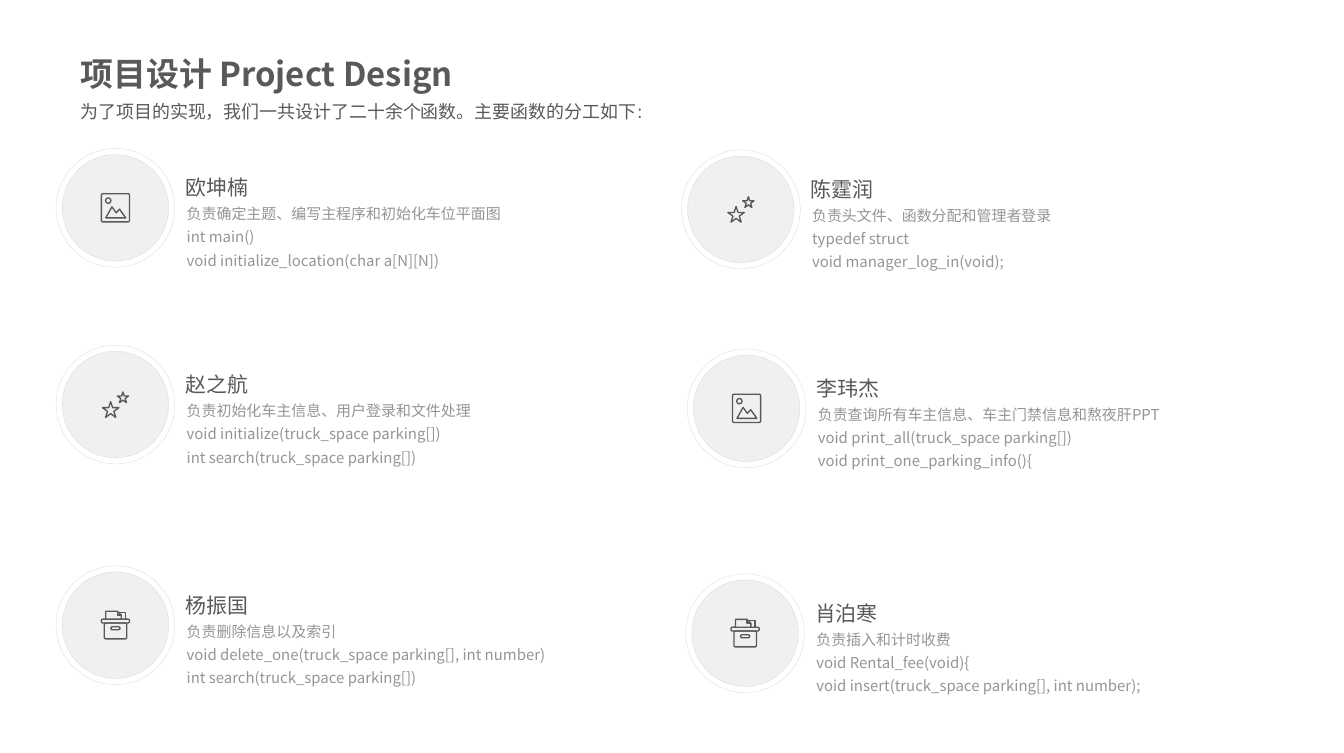
from math import cos, pi, sin

from lxml.etree import SubElement
from pptx import Presentation
from pptx.dml.color import RGBColor
from pptx.enum.shapes import MSO_SHAPE
from pptx.enum.text import MSO_ANCHOR, MSO_AUTO_SIZE, PP_ALIGN
from pptx.oxml.ns import qn
from pptx.util import Cm, Pt

FONT = "Noto Sans CJK SC"
COLORS = {"dark": "595959", "grey": "959595", "ring": "D0CECE"}

RING, DISC, ICON_OFFSET, TEXT_OFFSET = 5.61, 5.03, 2.11, 5.92

# Five-pointed stars: centre and radius in cm, tips alternating with notches.
STARS = [
    [(x + radius * (0.382 if step % 2 else 1) * sin(step * pi / 5),
      y - radius * (0.382 if step % 2 else 1) * cos(step * pi / 5)) for step in range(10)]
    for x, y, radius in [(0.47, 0.97), (1.05, 0.38)] and [(0.47, 0.97, 0.41), (1.05, 0.38, 0.28)]
]

# Icon parts in cm from the icon's corner: preset shapes with their boxes,
# then the strokes of one outline and whether they are closed.
ICONS = {
    "photo": (
        [(MSO_SHAPE.ROUNDED_RECTANGLE, 0.03, 0.03, 1.33, 1.33),
         (MSO_SHAPE.OVAL, 0.23, 0.23, 0.25, 0.25)],
        [[(0.24, 1.17), (0.53, 0.65), (0.73, 0.93), (0.89, 0.76), (1.18, 1.17)]],
        True,
    ),
    "stars": ([], STARS, True),
    "archive": (
        [(MSO_SHAPE.ROUNDED_RECTANGLE, 0.03, 0.41, 1.33, 0.18),
         (MSO_SHAPE.ROUNDED_RECTANGLE, 0.17, 0.59, 1.06, 0.75),
         (MSO_SHAPE.ROUNDED_RECTANGLE, 0.48, 0.77, 0.43, 0.14)],
        [[(0.24, 0.41), (0.24, 0.04), (0.79, 0.04), (0.97, 0.22), (0.97, 0.41)],
         [(0.79, 0.04), (0.79, 0.22), (0.97, 0.22)],
         [(0.87, 0.09), (1.16, 0.09), (1.16, 0.41)]],
        False,
    ),
}

MEMBERS = [
    (2.65, 7.01, "photo", "欧坤楠",
     ["负责确定主题、编写主程序和初始化车位平面图", "int main()",
      "void initialize_location(char a[N][N])"]),
    (32.2, 7.08, "stars", "陈霆润",
     ["负责头文件、函数分配和管理者登录", "typedef struct",
      "void manager_log_in(void);"]),
    (2.65, 16.3, "stars", "赵之航",
     ["负责初始化车主信息、用户登录和文件处理", "void initialize(truck_space parking[])",
      "int search(truck_space parking[])"]),
    (32.47, 16.48, "photo", "李玮杰",
     ["负责查询所有车主信息、车主门禁信息和熬夜肝PPT",
      "void print_all(truck_space parking[])", "void print_one_parking_info(){"]),
    (2.65, 26.72, "archive", "杨振国",
     ["负责删除信息以及索引", "void delete_one(truck_space parking[], int number)",
      "int search(truck_space parking[])"]),
    (32.4, 27.1, "archive", "肖泊寒",
     ["负责插入和计时收费", "void Rental_fee(void){",
      "void insert(truck_space parking[], int number);"]),
]


def write(para, text, size=20, color="dark", bold=False, spacing=1.3):
    para.alignment = PP_ALIGN.LEFT
    para.line_spacing = spacing
    para.space_before = Pt(0)
    span = para.add_run()
    span.text = text
    span.font.size = Pt(size)
    span.font.bold = bold
    span.font.name = FONT
    span.font.color.rgb = RGBColor.from_string(COLORS[color])
    SubElement(span.font._element, qn("a:ea"), typeface=FONT)


def outline(shape, color="dark", width=1.8):
    shape.shadow.inherit = False
    shape.fill.background()
    shape.line.color.rgb = RGBColor.from_string(COLORS[color])
    shape.line.width = Pt(width)


deck = Presentation()
deck.slide_width, deck.slide_height = Cm(63.5), Cm(35.56)
page = deck.slides.add_slide(deck.slide_layouts[1])

title, intro = page.placeholders
for box, left, top, width, height in [(title, 3.55, 1.47, 29.36, 2.74),
                                      (intro, 3.55, 4.11, 27.43, 1.63)]:
    box.left, box.top, box.width, box.height = Cm(left), Cm(top), Cm(width), Cm(height)
    box.text_frame.word_wrap = True
    box.text_frame.vertical_anchor = MSO_ANCHOR.TOP
    box.text_frame.auto_size = MSO_AUTO_SIZE.SHAPE_TO_FIT_TEXT

write(title.text_frame.paragraphs[0], "项目设计 Project Design", size=44, bold=True, spacing=1.5)
para = intro.text_frame.paragraphs[0]
write(para, "为了项目的实现，我们一共设计了二十余个函数。主要函数的分工如下", size=24, spacing=1.5)
write(para, "：", spacing=1.5)
properties = para._p.get_or_add_pPr()
properties.set("marL", "0")
properties.set("indent", "0")
SubElement(properties, qn("a:buNone"))

for left, top, icon, name, duties in MEMBERS:
    inset = (RING - DISC) / 2
    disc = page.shapes.add_shape(MSO_SHAPE.OVAL, Cm(left + inset), Cm(top + inset),
                                 Cm(DISC), Cm(DISC))
    outline(disc, "ring", 0.25)
    disc.fill.solid()
    disc.fill.fore_color.rgb = RGBColor.from_string(COLORS["ring"])
    fill_color = disc._element.spPr.find(qn("a:solidFill"))[0]
    SubElement(fill_color, qn("a:alpha"), val="30000")
    ring = page.shapes.add_shape(MSO_SHAPE.OVAL, Cm(left), Cm(top), Cm(RING), Cm(RING))
    outline(ring, "ring", 0.25)

    icon_left, icon_top = left + ICON_OFFSET, top + ICON_OFFSET
    presets, strokes, closed = ICONS[icon]
    for preset, x, y, width, height in presets:
        part = page.shapes.add_shape(preset, Cm(icon_left + x), Cm(icon_top + y),
                                     Cm(width), Cm(height))
        outline(part)
        if preset == MSO_SHAPE.ROUNDED_RECTANGLE:
            part.adjustments[0] = 0.07 / min(width, height)
    builder = None
    for points in strokes:
        corners = [(Cm(icon_left + x), Cm(icon_top + y)) for x, y in points]
        if builder:
            builder.move_to(*corners[0])
        else:
            builder = page.shapes.build_freeform(*corners[0])
        builder.add_line_segments(corners[1:], close=closed)
    outline(builder.convert_to_shape())

    name_box = page.shapes.add_textbox(Cm(left + TEXT_OFFSET), Cm(top + 0.08),
                                       Cm(20.29), Cm(3.18))
    frame = name_box.text_frame
    frame.word_wrap = True
    frame.vertical_anchor = MSO_ANCHOR.MIDDLE
    frame.margin_left = Cm(0.19)
    frame.margin_top = frame.margin_right = frame.margin_bottom = 0
    write(frame.paragraphs[0], name, size=28)

    duty_box = page.shapes.add_textbox(Cm(left + TEXT_OFFSET), Cm(top + 2.28),
                                       Cm(20.09), Cm(3.48))
    frame = duty_box.text_frame
    frame.word_wrap = True
    frame.auto_size = MSO_AUTO_SIZE.SHAPE_TO_FIT_TEXT
    for index, duty in enumerate(duties):
        para = frame.add_paragraph() if index else frame.paragraphs[0]
        write(para, duty, color="grey")

deck.save("out.pptx")
